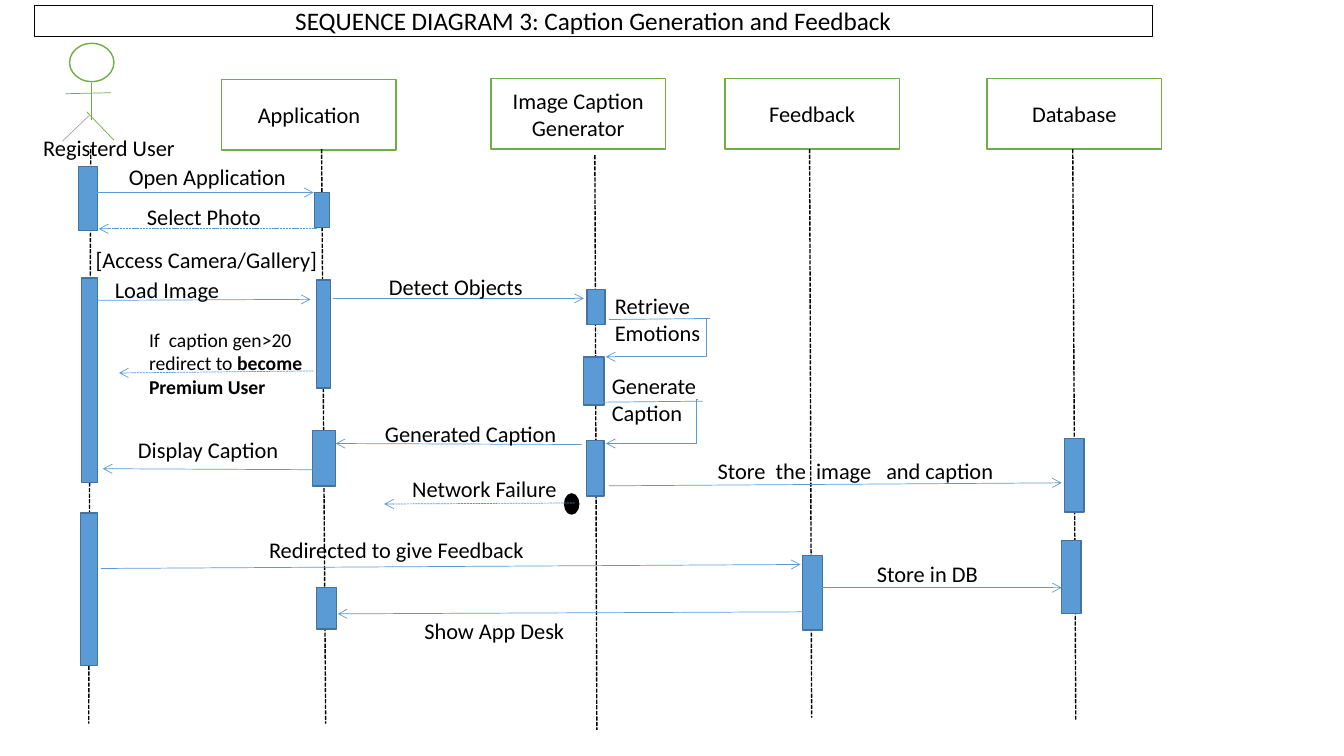
"""Build the caption generation and feedback sequence diagram slide."""
from lxml import etree
from pptx import Presentation
from pptx import util as u
from pptx.dml.color import RGBColor
from pptx.enum import dml, shapes, text
from pptx.oxml.ns import qn

BLACK = RGBColor(0x00, 0x00, 0x00)
WHITE = RGBColor(0xFF, 0xFF, 0xFF)
GREEN = RGBColor(0x70, 0xAD, 0x47)
GRAY = RGBColor(0xA5, 0xA5, 0xA5)
BLUE = RGBColor(0x5B, 0x9B, 0xD5)
NAVY = RGBColor(0x43, 0x73, 0x9E)
FONT = "Calibri"
RECT, OVAL = shapes.MSO_SHAPE.RECTANGLE, shapes.MSO_SHAPE.OVAL
STRAIGHT, ELBOW = shapes.MSO_CONNECTOR.STRAIGHT, shapes.MSO_CONNECTOR.ELBOW

prs = Presentation()
prs.slide_width, prs.slide_height = u.Inches(13.33), u.Inches(7.5)
CELL = prs.slide_height / 75
s = prs.slides.add_slide(prs.slide_layouts[5])


def box(kind, x, y, w, h, fill, color):
    sp = s.shapes.add_shape(kind, *[round(v * CELL) for v in (x, y, w, h)])
    sp.shadow.inherit = False
    sp.fill.solid()
    sp.fill.fore_color.rgb = fill
    sp.line.color.rgb = color
    sp.line.width = u.Pt(1)
    return sp


def line(ends, color=BLUE, pt=0.5, dash=False, arrow=False, kind=STRAIGHT):
    c = s.shapes.add_connector(kind, *[round(v * CELL) for v in ends])
    c.line.color.rgb = color
    c.line.width = u.Pt(pt)
    if dash:
        c.line.dash_style = dml.MSO_LINE.SQUARE_DOT
    sp_pr = c.element.spPr
    if arrow:
        etree.SubElement(sp_pr.find(qn("a:ln")), qn("a:tailEnd"), type="arrow")
    etree.SubElement(sp_pr, qn("a:effectLst"))
    return c


title = s.shapes.title
title.left, title.top, title.width, title.height = [
    round(v * CELL) for v in (3.4, 0.5, 110.9, 3.1)]
title.fill.solid()
title.fill.fore_color.rgb = WHITE
title.line.color.rgb = BLACK
title.line.width = u.Pt(0.25)
tf = title.text_frame
tf.text = "SEQUENCE DIAGRAM 3: Caption Generation and Feedback"
tf.auto_size = text.MSO_AUTO_SIZE.NONE
tf.vertical_anchor = text.MSO_ANCHOR.MIDDLE
p = tf.paragraphs[0]
p.alignment = text.PP_ALIGN.CENTER
p.font.name, p.font.size, p.font.color.rgb = FONT, u.Pt(18), BLACK

for name, x, y in [
    ("Application", 22, 7.9),
    ("Image Caption Generator", 48.7, 7.8),
    ("Feedback", 71.9, 7.8),
    ("Database", 97.9, 7.8),
]:
    tf = box(RECT, x, y, 17.3, 7, WHITE, GREEN).text_frame
    tf.text = name
    tf.word_wrap = True
    tf.vertical_anchor = text.MSO_ANCHOR.MIDDLE
    p = tf.paragraphs[0]
    p.alignment = text.PP_ALIGN.CENTER
    p.font.name, p.font.size, p.font.color.rgb = FONT, u.Pt(16), BLACK

box(OVAL, 6.9, 4.3, 4.4, 3.8, WHITE, GREEN)
for limb, color in [
    ((9.1, 8.2, 9.1, 11.9), GREEN),
    ((8.8, 11.5, 6.2, 14), GRAY),
    ((8.6, 11.1, 11.3, 13.9), GREEN),
    ((6.5, 9.3, 11, 9.2), GREEN),
]:
    line(limb, color)

for lifeline in [
    (9, 14.8, 8.8, 71.8),
    (31.9, 14.8, 32.3, 71.8),
    (59, 15.4, 59.2, 72.4),
    (80.3, 14.8, 80.5, 71.2),
    (106.4, 14.8, 106.7, 71.4),
]:
    line(lifeline, BLACK, 1, dash=True)

for bar in [
    (7.8, 16.5, 1.9, 6.4), (8.1, 27.6, 1.6, 20.3), (8, 50.9, 1.7, 15.1),
    (31.2, 19.1, 1.5, 3.5), (31.4, 27.8, 1.4, 10.7),
    (31, 42.7, 2.3, 5.5), (31.4, 58.3, 2, 4.1),
    (58.2, 28.7, 1.8, 3.5), (57.9, 35.4, 2, 4.8), (58.2, 43.7, 1.7, 5.5),
    (79.6, 55.1, 2, 7.4),
    (105.6, 43.5, 1.9, 7.3), (105.3, 53.6, 1.9, 7.3),
]:
    box(RECT, *bar, BLUE, NAVY)
box(OVAL, 56, 49, 1.4, 2, BLACK, BLACK)

for call in [
    (9.3, 19.1, 31.1, 19.1), (8.8, 29.8, 30.8, 29.7),
    (33, 29.6, 57.9, 29.6), (57.7, 44.1, 33.3, 44),
    (31, 46.6, 10.2, 46.5), (60.4, 48.2, 105.3, 47.9),
    (10, 56.4, 79.4, 56), (81.5, 58.3, 105.3, 58.3),
    (79.8, 60.7, 33.5, 60.9),
]:
    line(call, arrow=True)
for reply in [
    (31.4, 22.7, 9.8, 22.7), (31.1, 36.8, 11.8, 37), (57, 49.9, 38.1, 50),
]:
    line(reply, dash=True, arrow=True)
for stem, loop, bend in [
    ((70.4, 31.6, 60.4, 31.7), (68.8, 31.6, 60.1, 35.4), -14000),
    ((69.7, 39.8, 59.7, 39.9), (69.2, 39.6, 60.1, 44), 1400),
]:
    line(stem)
    c = line(loop, arrow=True, kind=ELBOW)
    guides = c.element.spPr.find(qn("a:prstGeom")).get_or_add_avLst()
    etree.SubElement(guides, qn("a:gd"), name="adj1", fmla=f"val {bend}")

for words, x, y, w, h, size in [
    ("Registerd User", 3.3, 12.8, 16.2, 3.7, 16),
    ("Open Application", 11.8, 15.7, 17.6, 3.7, 16),
    ("Select Photo", 13.6, 19.7, 13.3, 3.7, 16),
    ("[Access Camera/Gallery]", 8.5, 23.9, 24, 3.7, 16),
    ("Load Image", 10.4, 26.9, 12.4, 3.7, 16),
    ("Detect Objects", 37.6, 26.6, 15.4, 3.7, 16),
    ("Retrieve\nEmotions", 60, 28.5, 10.5, 6.4, 16),
    ("Generate\nCaption", 59.7, 36.4, 10.9, 6.4, 16),
    ("Generated Caption", 37.2, 41.2, 19, 3.7, 16),
    ("Display Caption", 12.7, 42.8, 15.9, 3.7, 16),
    ("Store  the  image   and caption", 70.2, 44.9, 30, 3.7, 16),
    ("Network Failure", 39.9, 46.6, 16.3, 3.7, 16),
    ("Redirected to give Feedback", 25.7, 52.7, 27.3, 3.7, 16),
    ("Store in DB", 86, 55.1, 12, 3.7, 16),
    ("Show App Desk", 41.1, 60.7, 15.9, 3.7, 16),
    ("If  caption gen>20\nredirect to \nPremium User", 13.8, 32, 17.6, 8.1, 14),
]:
    sp = s.shapes.add_textbox(*[round(v * CELL) for v in (x, y, w, h)])
    tf = sp.text_frame
    tf.text = words
    tf.word_wrap = False
    for p in tf.paragraphs:
        p.font.name, p.font.size, p.font.color.rgb = FONT, u.Pt(size), BLACK

redirect, premium = tf.paragraphs[1:]
r = redirect.add_run()
r.text = "become"
r.font.bold = True
premium.font.bold = True

prs.save("out.pptx")
